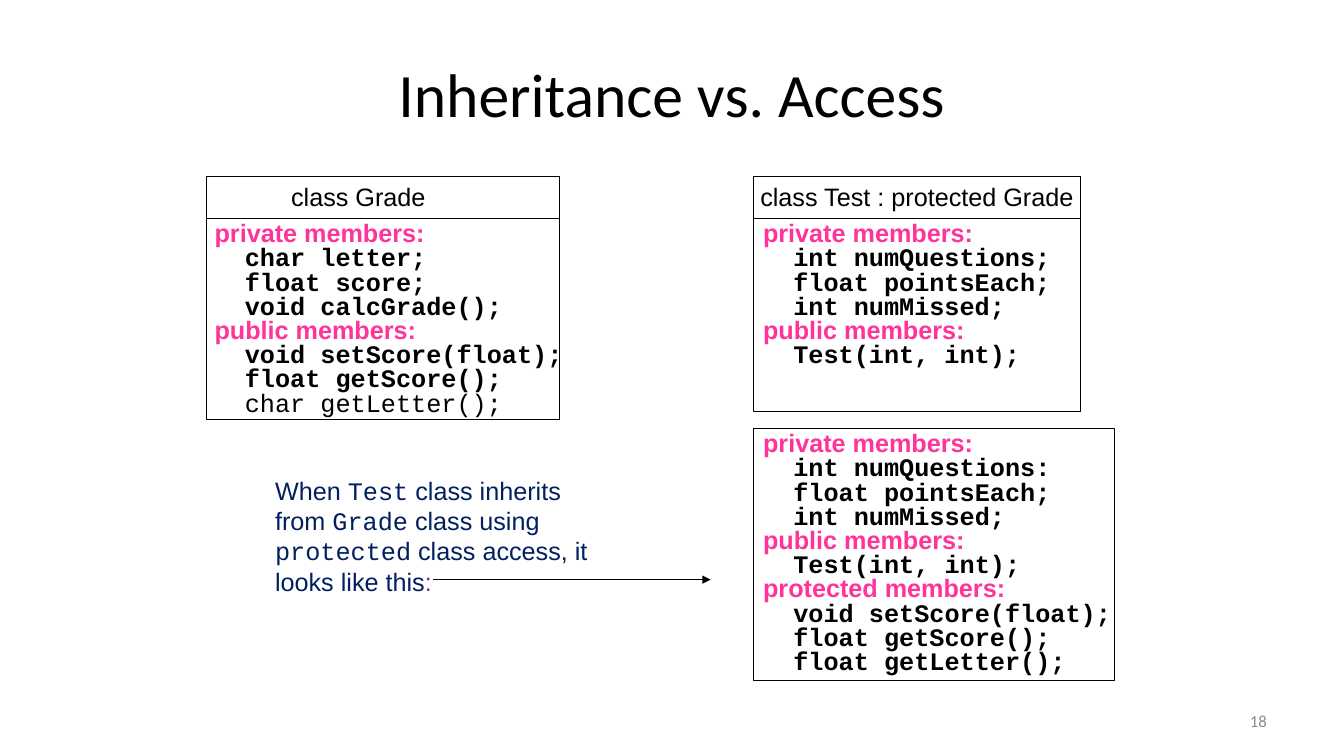
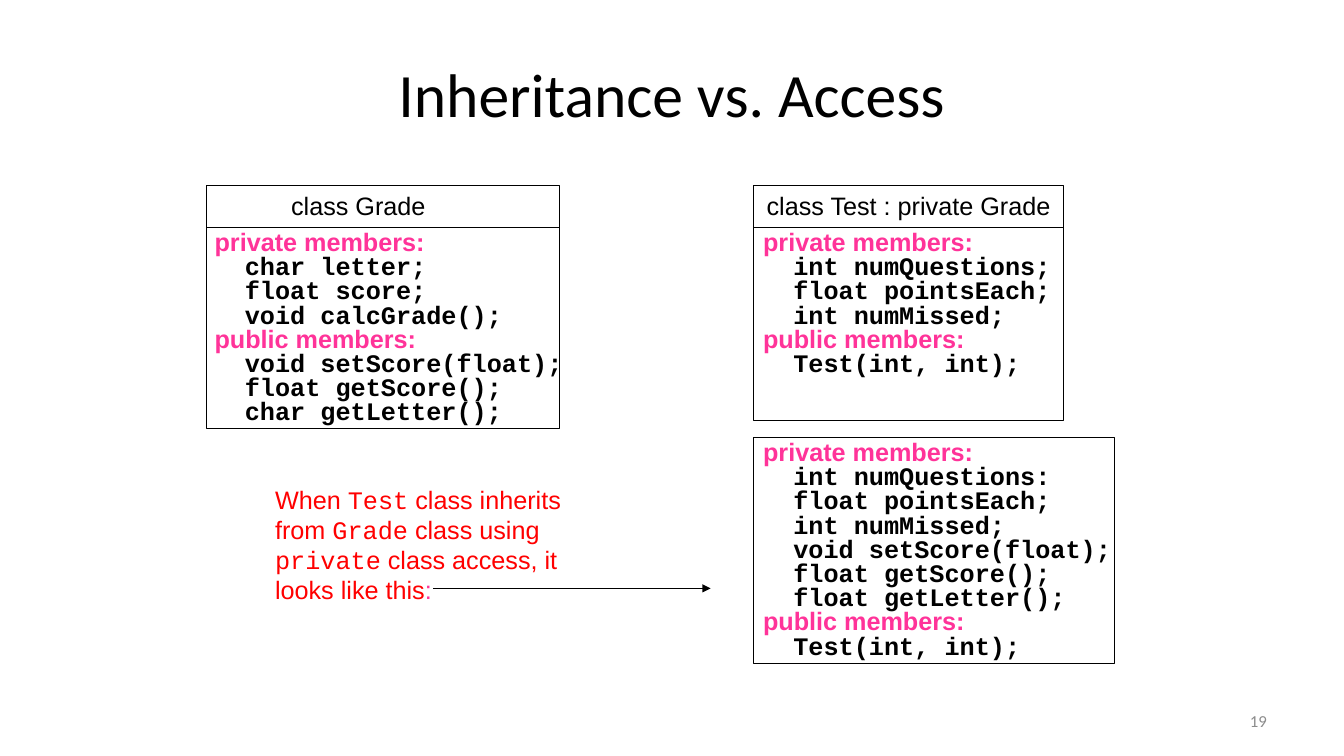
from lxml import etree
from pptx import Presentation
from pptx.dml.color import RGBColor
from pptx.enum.shapes import MSO_CONNECTOR as Connector, MSO_SHAPE as Shape
from pptx.enum.text import MSO_ANCHOR as Anchor, PP_ALIGN as Align
from pptx.oxml.ns import qn
from pptx.util import Pt

COLORS = {"black": "000000", "pink": "FF3399", "grey": "8C8C8C",
          "navy": "002060", "purple": "7030A0", "red": "FF0000"}
SANS, MONO, TITLE_FONT = "Arial", "Courier New", "Calibri"
TITLE = "Inheritance vs. Access"
CODE_INDENT = 21.6  # two monospaced characters at 18 pt
GRADE_LEFT, GRADE_WIDTH, TEST_LEFT = 147.6, 252, 538
HEADER_HEIGHT, GRADE_HEIGHT, TEST_HEIGHT = 30, 144, 138
RESULT_WIDTH, HEADER_TEXT_WIDTH = 258, 258

# Member lists: lines ending in "members:" are headings, the rest is code.
GRADE = ["private members:", "char letter;", "float score;", "void calcGrade();",
         "public members:", "void setScore(float);", "float getScore();",
         "char getLetter();"]
TEST_PUBLIC = ["public members:", "Test(int, int);"]
TEST = ["private members:", "int numQuestions;", "float pointsEach;",
        "int numMissed;"] + TEST_PUBLIC
TEST_FIELDS = ["private members:", "int numQuestions:", "float pointsEach;",
               "int numMissed;"]
INHERITED = ["void setScore(float);", "float getScore();", "float getLetter();"]

SLIDES = [
    {"number": "18", "access": "protected", "top": 126, "test_width": 234,
     "result": TEST_FIELDS + TEST_PUBLIC + ["protected members:"] + INHERITED,
     "result_height": 180, "note": "navy", "colon": "purple",
     "plain": ["char getLetter();"]},
    {"number": "19", "access": "private", "top": 132.25, "test_width": 222,
     "result": TEST_FIELDS + INHERITED + TEST_PUBLIC,
     "result_height": 162, "note": "red", "colon": "pink", "plain": []},
]


def fill_text(frame, paragraphs, size=18, align=Align.LEFT, anchor=Anchor.TOP):
    """Each paragraph is a list of runs: (text, font, colour name, bold)."""
    frame.word_wrap = True
    frame.vertical_anchor = anchor
    for index, runs in enumerate(paragraphs):
        para = frame.paragraphs[0] if index == 0 else frame.add_paragraph()
        para.alignment = align
        for text, font, color, bold in runs:
            span = para.add_run()
            span.text = text
            span.font.name, span.font.size, span.font.bold = font, Pt(size), bold
            span.font.color.rgb = RGBColor.from_string(COLORS[color])
    return frame


def add_box(page, left, top, width, height, outlined=False):
    area = Pt(left), Pt(top), Pt(width), Pt(height)
    if not outlined:
        return page.shapes.add_textbox(*area)
    box = page.shapes.add_shape(Shape.RECTANGLE, *area)
    box.shadow.inherit = False
    box.fill.background()
    box.line.color.rgb = RGBColor.from_string(COLORS["black"])
    box.line.width = Pt(0.75)
    return box


deck = Presentation()
deck.slide_width, deck.slide_height = Pt(960), Pt(540)

for slide in SLIDES:
    page = deck.slides.add_slide(deck.slide_layouts[5])
    top, test_width = slide["top"], slide["test_width"]
    body_top = top + HEADER_HEIGHT

    title = page.shapes.title
    title.left, title.top, title.width, title.height = Pt(48), Pt(21.6), Pt(864), Pt(90)
    fill_text(title.text_frame, [[(TITLE, TITLE_FONT, "black", False)]],
              44, Align.CENTER, Anchor.MIDDLE)
    fill_text(add_box(page, 688, 500.5, 224, 28.8).text_frame,
              [[(slide["number"], TITLE_FONT, "grey", False)]],
              12, Align.RIGHT, Anchor.MIDDLE)

    # Class names above the member lists
    test_text_left = TEST_LEFT + (test_width - HEADER_TEXT_WIDTH) / 2
    for name, left, width, text_left, text_width in [
            ("class Grade", GRADE_LEFT, GRADE_WIDTH, 198.7, 114.5),
            (f"class Test : {slide['access']} Grade", TEST_LEFT, test_width,
             test_text_left, HEADER_TEXT_WIDTH)]:
        add_box(page, left, top, width, HEADER_HEIGHT, outlined=True)
        fill_text(add_box(page, text_left, top, text_width, 29).text_frame,
                  [[(name, SANS, "black", False)]], align=Align.CENTER)

    # Member lists
    for members, left, list_top, width, height, text_left in [
            (GRADE, GRADE_LEFT, body_top, GRADE_WIDTH, GRADE_HEIGHT, 146.2),
            (TEST, TEST_LEFT, body_top, test_width, TEST_HEIGHT, TEST_LEFT),
            (slide["result"], TEST_LEFT, top + 180, RESULT_WIDTH,
             slide["result_height"], TEST_LEFT)]:
        add_box(page, left, list_top, width, height, outlined=True)
        frame = fill_text(
            add_box(page, text_left, list_top, width + 18, height).text_frame,
            [[(line, SANS, "pink", True) if line.endswith("members:")
              else (line, MONO, "black", line not in slide["plain"])]
             for line in members])
        frame.margin_right = 0
        for para, line in zip(frame.paragraphs, members):
            para.line_spacing = 0.8
            if not line.endswith("members:"):
                para._p.get_or_add_pPr().set("marL", str(Pt(CODE_INDENT)))

    # Explanation and the arrow to the resulting class
    color = slide["note"]
    fill_text(add_box(page, 189.4, top + 210, 246, 94).text_frame, [
        [("When ", SANS, color, False), ("Test", MONO, color, False),
         (" class inherits", SANS, color, False)],
        [("from ", SANS, color, False), ("Grade", MONO, color, False),
         (" class using", SANS, color, False)],
        [(slide["access"], MONO, color, False),
         (" class access, it looks like this", SANS, color, False),
         (":", SANS, slide["colon"], False)]])
    arrow_y = Pt(top + 288)
    arrow = page.shapes.add_connector(Connector.STRAIGHT, Pt(309.6), arrow_y,
                                      Pt(507.6), arrow_y)
    arrow.line.color.rgb = RGBColor.from_string(COLORS["black"])
    arrow.line.width = Pt(0.75)
    etree.SubElement(arrow.line._get_or_add_ln(), qn("a:tailEnd"), type="triangle")
    etree.SubElement(arrow._element.spPr, qn("a:effectLst"))

deck.save("out.pptx")
